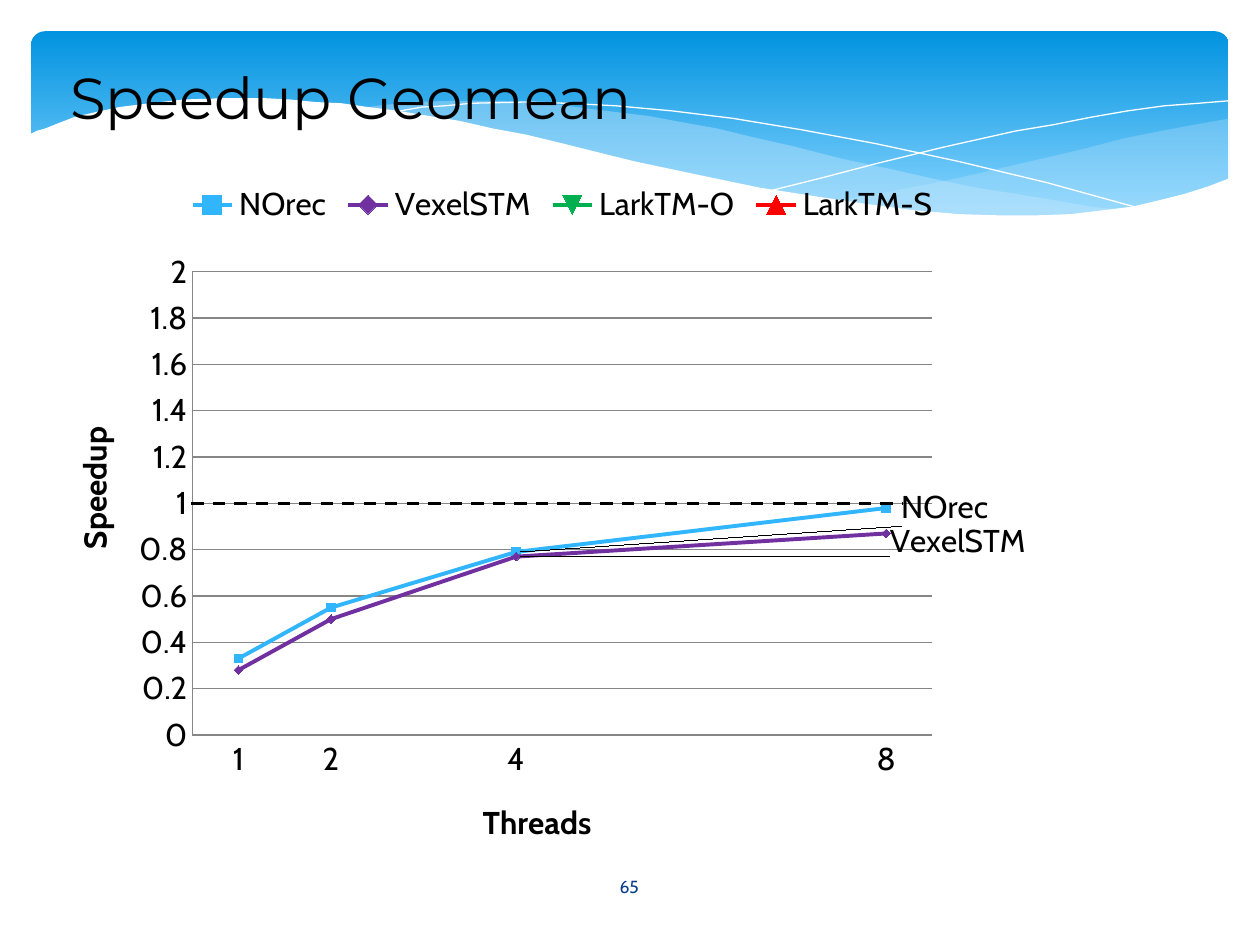
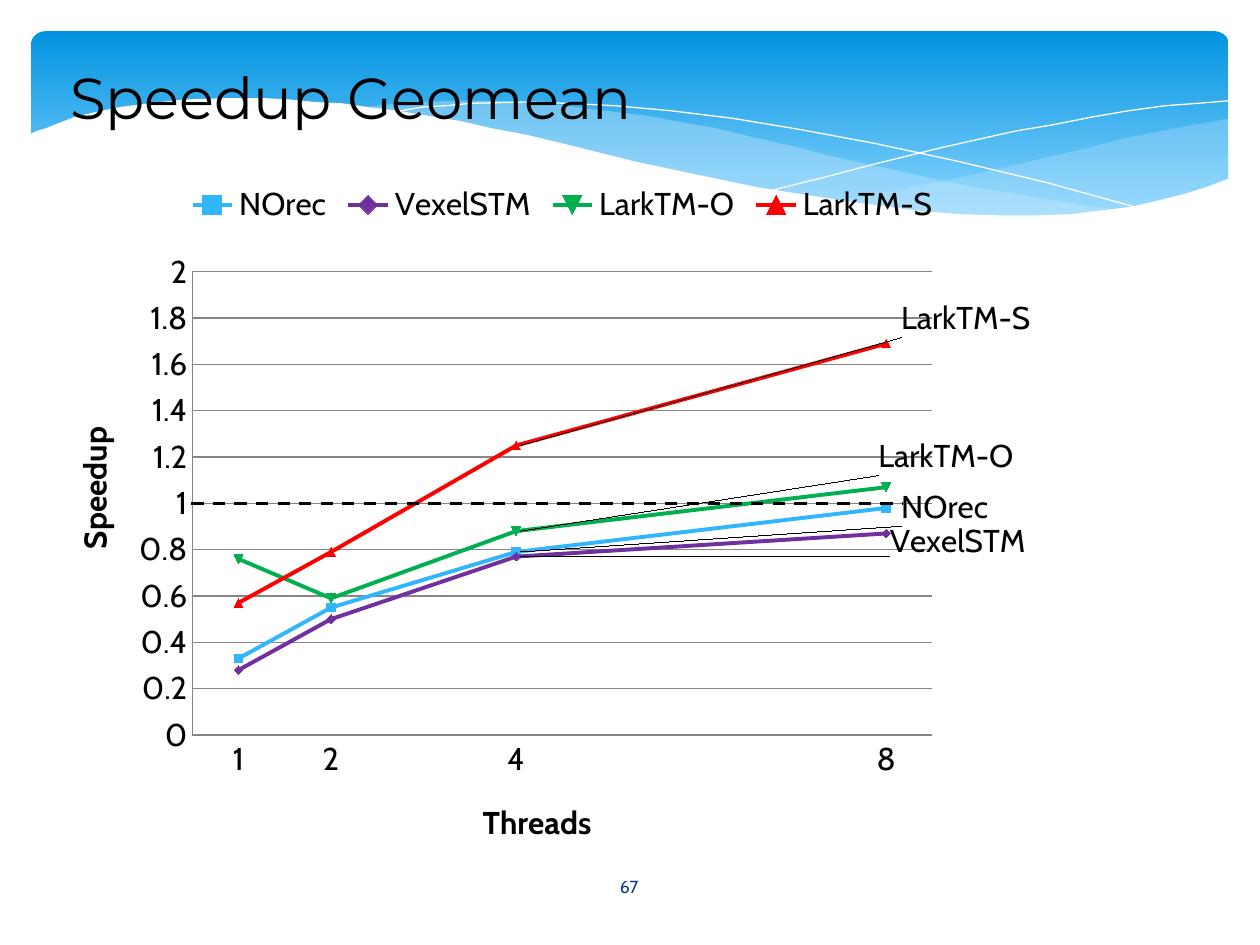
from lxml import etree
from pptx import Presentation
from pptx.chart.data import CategoryChartData
from pptx.dml.color import RGBColor
from pptx.enum.chart import XL_CHART_TYPE, XL_LABEL_POSITION, XL_LEGEND_POSITION, XL_TICK_MARK
from pptx.enum.dml import MSO_LINE
from pptx.enum.shapes import MSO_CONNECTOR, MSO_SHAPE
from pptx.enum.text import MSO_ANCHOR, PP_ALIGN
from pptx.oxml import parse_xml
from pptx.oxml.ns import nsdecls, qn
from pptx.util import Cm, Pt

COLORS = {
    "sky_top": "0293E0", "sky_bottom": "83D3FE", "wave": "C6E7FC", "white": "FFFFFF",
    "text": "000000", "page_number": "073E87", "grid": "868686",
    "NOrec": "31B6FD", "VexelSTM": "7030A0", "LarkTM-O": "00B050", "LarkTM-S": "FF0000",
}
BODY_FONT, TITLE_FONT = "Cabin", "Montserrat"

# Wave outlines, in hundredths of an inch from the slide corner
WAVE_UNIT = Cm(2.54) / 100
RIGHT_WAVE = [
    (976, 94), (948, 99), (921, 104), (891, 110), (861, 118), (805, 131), (753, 143),
    (706, 152), (661, 160), (691, 164), (719, 167), (745, 169), (769, 171), (792, 172),
    (824, 172), (854, 170), (881, 167), (905, 163), (928, 158), (949, 152), (963, 147),
    (976, 141)]
MIDDLE_WAVE = [
    (893, 167), (866, 164), (837, 159), (807, 154), (775, 149), (741, 142), (706, 134),
    (668, 126), (629, 116), (598, 109), (569, 102), (541, 97), (514, 92), (489, 89),
    (465, 86), (442, 83), (420, 82), (399, 80), (361, 80), (328, 81), (299, 84), (286, 86),
    (323, 90), (362, 97), (404, 106), (449, 116), (491, 126), (530, 135), (566, 143),
    (601, 150), (634, 156), (665, 161), (695, 165), (722, 168), (748, 170), (773, 172),
    (807, 173), (838, 172), (867, 170)]
FALLING_LINE = [
    (309, 90), (318, 88), (335, 85), (353, 84), (374, 82), (416, 81), (450, 82), (489, 84),
    (533, 88), (582, 94), (636, 103), (695, 114), (760, 128), (831, 145), (907, 166)]
RISING_LINE = [
    (613, 151), (653, 141), (695, 130), (748, 117), (806, 104), (836, 99), (866, 93),
    (895, 88), (924, 84), (951, 82), (975, 80)]
PAGE_WAVE = [
    (977, 141), (959, 148), (940, 154), (920, 159), (899, 164), (875, 167), (850, 170),
    (823, 171), (793, 171), (761, 170), (726, 167), (688, 162), (648, 156), (603, 149),
    (555, 139), (503, 128), (447, 114), (418, 107), (391, 102), (365, 96), (340, 92),
    (316, 88), (292, 85), (271, 82), (250, 81), (230, 79), (211, 78), (177, 78), (146, 79),
    (119, 82), (95, 85), (76, 89), (59, 93), (46, 98), (36, 102), (29, 104), (23, 107),
    (23, 224), (977, 224)]

THREADS = ["1", "2", "", "4", "", "", "", "8"]
MEASURED = ["1", "2", "4", "8"]
BASELINES = {"NOrec": [0.33, 0.55, 0.79, 0.98], "VexelSTM": [0.28, 0.5, 0.77, 0.87]}
LARK = {"LarkTM-O": [0.76, 0.59, 0.88, 1.07], "LarkTM-S": [0.57, 0.79, 1.25, 1.69]}
# Shift of each name from its 4-thread point, as a share of the chart
NAME_SHIFTS = {"NOrec": (0.33, -0.06), "VexelSTM": (0.32, -0.02),
               "LarkTM-O": (0.31, -0.1), "LarkTM-S": (0.33, -0.17)}
PLOT = dict(x=0.11, y=0.18, w=0.65, h=0.62)


def rgb(name):
    return RGBColor.from_string(COLORS[name])


def write(frame, text, size=18, font=BODY_FONT, color="text", bold=False, align=None):
    paragraph = frame.paragraphs[0]
    paragraph.alignment = align
    run = paragraph.add_run()
    run.text = text
    run.font.size, run.font.name, run.font.bold = Pt(size), font, bold
    run.font.color.rgb = rgb(color)


def add_text(slide, box, text, anchor, **text_format):
    frame = slide.shapes.add_textbox(*box).text_frame
    frame.word_wrap = True
    frame.vertical_anchor = anchor
    write(frame, text, **text_format)


def add_wave(slide, left, top, points, fill=None, opacity=100):
    """Draw a filled wave, or a thin white line when no fill is given."""
    builder = slide.shapes.build_freeform(*points[0], scale=WAVE_UNIT)
    builder.add_line_segments(points[1:], close=fill is not None)
    wave = builder.convert_to_shape(left, top)
    wave.shadow.inherit = False
    if fill is None:
        wave.fill.background()
        wave.line.color.rgb = rgb("white")
        wave.line.width = Cm(0)
        return
    wave.line.fill.background()
    wave.fill.solid()
    wave.fill.fore_color.rgb = rgb(fill)
    if opacity < 100:
        color = wave.fill._xPr.find(".//" + qn("a:srgbClr"))
        etree.SubElement(color, qn("a:alpha"), val=str(opacity * 1000))


def draw_header(slide, left, top, width):
    margin = Cm(0.63)
    sky = slide.shapes.add_shape(MSO_SHAPE.ROUNDED_RECTANGLE, left + margin, top + margin,
                                 width - 2 * margin, Cm(3.96))
    sky.adjustments[0] = 0.07
    sky.shadow.inherit = False
    sky.line.fill.background()
    sky.fill.gradient()
    sky.fill.gradient_angle = 270
    for stop, name, position in zip(sky.fill.gradient_stops, ("sky_top", "sky_bottom"), (0, 0.9)):
        stop.color.rgb = rgb(name)
        stop.position = position
    add_wave(slide, left, top, RIGHT_WAVE, "wave", 29)
    add_wave(slide, left, top, MIDDLE_WAVE, "wave", 40)
    add_wave(slide, left, top, FALLING_LINE)
    add_wave(slide, left, top, RISING_LINE)
    add_wave(slide, left, top, PAGE_WAVE, "white")


def set_layout(parent, index, x, y, w=None, h=None, edge=True, inner=False):
    """Place a chart part by hand, at an edge position or as a shift."""
    for old in parent.findall(qn("c:layout")):
        parent.remove(old)
    layout = parse_xml(f"<c:layout {nsdecls('c')}><c:manualLayout/></c:layout>")
    settings = [("layoutTarget", "inner" if inner else None),
                ("xMode", "edge" if edge else None), ("yMode", "edge" if edge else None),
                ("x", x), ("y", y), ("w", w), ("h", h)]
    for tag, value in settings:
        if value is not None:
            etree.SubElement(layout[0], qn("c:" + tag), val=str(value))
    parent.insert(index, layout)


def style_axis(axis, title, x, y):
    axis.major_tick_mark = axis.minor_tick_mark = XL_TICK_MARK.NONE
    axis.format.line.color.rgb = rgb("grid")
    write(axis.axis_title.text_frame, title, bold=True)
    set_layout(axis.axis_title._element, 1, x, y)


def style_series(series):
    color = rgb(series.name)
    series.smooth = False
    series.format.line.color.rgb = color
    series.format.line.width = Pt(2.25)
    marker = series.marker
    marker.size = 5
    marker.format.fill.solid()
    marker.format.fill.fore_color.rgb = color
    marker.format.line.color.rgb = color


def name_series(series):
    """Put the series name beside its line, with a leader line."""
    label = series.points[THREADS.index("4")].data_label
    write(label.text_frame, series.name)
    label.position = XL_LABEL_POSITION.RIGHT
    labels = series.data_labels
    labels.show_value = False
    set_layout(labels._element.find(qn("c:dLbl")), 1, *NAME_SHIFTS[series.name], edge=False)
    labels._element.append(parse_xml(
        f'<c:extLst {nsdecls("c")}><c:ext uri="{{CE6537A1-D6FC-4f65-9D91-7224C49458BB}}" '
        'xmlns:c15="http://schemas.microsoft.com/office/drawing/2012/chart">'
        '<c15:showLeaderLines val="1"/></c:ext></c:extLst>'))


def draw_speedup_chart(slide, left, top, width, height, speedups):
    data = CategoryChartData()
    data.categories = THREADS
    for name in NAME_SHIFTS:
        by_threads = dict(zip(MEASURED, speedups.get(name, [])))
        data.add_series(name, [by_threads.get(count) for count in THREADS])
    chart = slide.shapes.add_chart(XL_CHART_TYPE.LINE_MARKERS, left, top, width, height, data).chart
    chart.has_title = False
    chart.font.size, chart.font.name = Pt(18), BODY_FONT
    chart.font.color.rgb = rgb("text")
    chart.has_legend = True
    chart.legend.position = XL_LEGEND_POSITION.TOP
    chart.legend.include_in_layout = False
    set_layout(chart.legend._element, 1, 0.1, 0.06, 0.67, 0.06)
    chart_space = chart._chartSpace
    set_layout(chart_space.find(".//" + qn("c:plotArea")), 0, **PLOT, inner=True)
    chart_space.find(".//" + qn("c:dispBlanksAs")).set("val", "span")

    style_axis(chart.category_axis, "Threads", 0.36, 0.88)
    speedup_axis = chart.value_axis
    style_axis(speedup_axis, "Speedup", 0, 0.38)
    speedup_axis.minimum_scale, speedup_axis.maximum_scale = 0, 2
    speedup_axis.major_unit = 0.2
    speedup_axis.tick_labels.number_format = "General"
    speedup_axis.tick_labels.number_format_is_linked = False
    speedup_axis.has_major_gridlines = True
    speedup_axis.major_gridlines.format.line.color.rgb = rgb("grid")

    chart.plots[0].vary_by_categories = False
    for series in chart.plots[0].series:
        style_series(series)
        name_series(series)

    break_even = top + round(height * (PLOT["y"] + PLOT["h"] / 2))
    line_left = left + Cm(2.51)
    line = slide.shapes.add_connector(MSO_CONNECTOR.STRAIGHT, line_left, break_even,
                                      line_left + Cm(14.35), break_even)
    line.line.color.rgb = rgb("text")
    line.line.width = Pt(1.75)
    line.line.dash_style = MSO_LINE.DASH
    etree.SubElement(line._element.spPr, qn("a:effectLst"))


def build_speedup_slide(deck, page_number, speedups):
    slide = deck.slides.add_slide(deck.slide_layouts[6])
    draw_header(slide, 0, 0, deck.slide_width)
    add_text(slide, (Cm(11.07), Cm(17.37), Cm(3.23), Cm(1.02)), page_number, MSO_ANCHOR.MIDDLE,
             size=10, color="page_number", align=PP_ALIGN.CENTER)
    add_text(slide, (Cm(1.17), Cm(-1.04), Cm(16.08), Cm(3.81)), "Speedup Geomean",
             MSO_ANCHOR.BOTTOM, size=33, font=TITLE_FONT)
    draw_speedup_chart(slide, Cm(1.35), Cm(2.77), Cm(22.96), Cm(15.06), speedups)


def main():
    deck = Presentation()
    deck.slide_width, deck.slide_height = Cm(25.4), Cm(19.05)
    build_speedup_slide(deck, "65", BASELINES)
    build_speedup_slide(deck, "67", BASELINES | LARK)
    deck.save("out.pptx")


if __name__ == "__main__":
    main()
